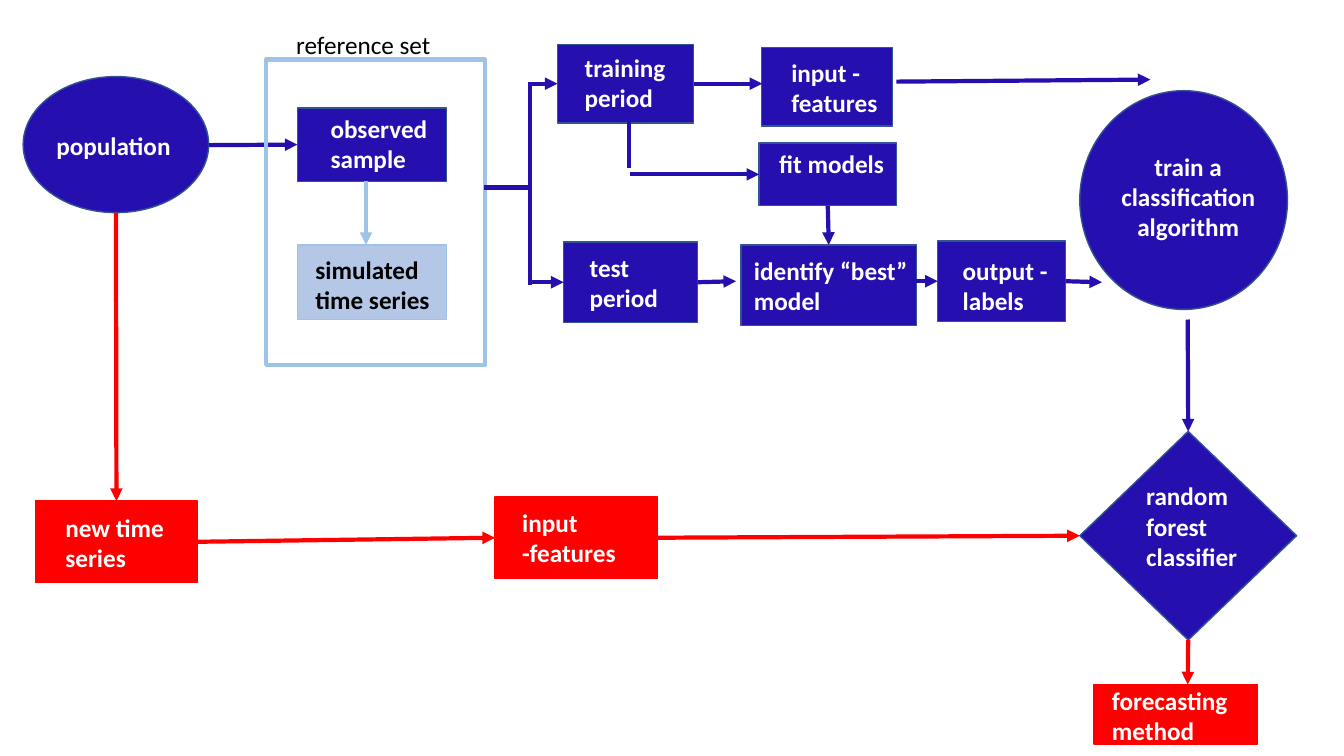
"""Draw the flow from a population of time series to a forecasting method."""
from lxml.etree import SubElement
from pptx import Presentation
from pptx.dml.color import RGBColor
from pptx.enum.dml import MSO_LINE
from pptx.enum.shapes import MSO_CONNECTOR, MSO_SHAPE as SHAPE
from pptx.enum.text import MSO_AUTO_SIZE, PP_ALIGN
from pptx.oxml.ns import qn
from pptx.util import Inches, Pt

WIDTH, HEIGHT = Inches(13.33), Inches(7.5)
COLUMNS, ROWS = 13.33, 7.5
BLUE, EDGE, RED = "260FAF", "325491", "FF0000"
SKY, PALE, WHITE, BLACK = "9DC3E6", "B4C7E7", "FFFFFF", "000000"
TOP, LEFT, BOTTOM, RIGHT = range(4)


def across(columns):
    """Return a horizontal length given in grid columns."""
    return round(columns * WIDTH / COLUMNS)


def down(rows):
    """Return a vertical length given in grid rows."""
    return round(rows * HEIGHT / ROWS)


def place(left, top, width, height):
    """Return a grid area as slide lengths."""
    return across(left), down(top), across(width), down(height)


def colour(hex_code):
    """Return the colour of a hex string."""
    return RGBColor.from_string(hex_code)


def add_text(slide, text, area, ink=WHITE, bold=True, align=PP_ALIGN.LEFT):
    """Write a wrapped label in a grid area."""
    frame = slide.shapes.add_textbox(*place(*area)).text_frame
    frame.word_wrap = True
    frame.auto_size = MSO_AUTO_SIZE.SHAPE_TO_FIT_TEXT
    paragraph = frame.paragraphs[0]
    paragraph.alignment = align
    run = paragraph.add_run()
    run.text = text
    run.font.name, run.font.size, run.font.bold = "Calibri", Pt(18), bold
    run.font.color.rgb = colour(ink)


def add_outline(slide, area, kind=SHAPE.RECTANGLE, fill=None, edge=EDGE, weight=1):
    """Draw a preset shape, left hollow when it has no fill."""
    outline = slide.shapes.add_shape(kind, *place(*area))
    outline.shadow.inherit = False
    if fill:
        outline.fill.solid()
        outline.fill.fore_color.rgb = colour(fill)
    else:
        outline.fill.background()
    outline.line.color.rgb = colour(edge)
    outline.line.width = Pt(weight)
    return outline


def add_step(slide, text, area, text_area, kind=SHAPE.RECTANGLE,
             fill=BLUE, edge=EDGE, **text_format):
    """Draw one step of the flow with its label and return its shape."""
    step = add_outline(slide, area, kind, fill, edge)
    add_text(slide, text, text_area, **text_format)
    return step


def add_link(slide, start=(0, 0), end=(0, 0), joined_from=None, joined_to=None,
             ink=BLUE, arrow=True):
    """Draw a line between grid points or joined sides of steps."""
    link = slide.shapes.add_connector(
        MSO_CONNECTOR.STRAIGHT, across(start[0]), down(start[1]),
        across(end[0]), down(end[1]))
    if joined_from:
        link.begin_connect(*joined_from)
    if joined_to:
        link.end_connect(*joined_to)
    link.line.color.rgb = colour(ink)
    link.line.width = Pt(3)
    link.line.dash_style = MSO_LINE.SOLID
    if arrow:
        SubElement(link.line._get_or_add_ln(), qn("a:tailEnd"), type="triangle")
    SubElement(link._element.spPr, qn("a:effectLst"))


def draw_reference_set(slide):
    """Draw the population and the set of series built from it."""
    add_step(slide, "population", (0.23, 0.76, 1.84, 1.35),
             (0.46, 1.24, 1.38, 0.4), kind=SHAPE.OVAL)
    observed = add_step(slide, "observed sample", (2.95, 1.07, 1.48, 0.73),
                        (3.18, 1.07, 1.18, 0.71))
    add_step(slide, "simulated time series", (2.95, 2.43, 1.48, 0.74),
             (3.03, 2.47, 1.48, 0.71), fill=PALE, edge=SKY, ink=BLACK)
    add_link(slide, start=(2.07, 1.44), joined_to=(observed, LEFT))
    add_link(slide, (3.63, 1.8), (3.63, 2.43), ink=SKY)
    add_outline(slide, (2.64, 0.59, 2.17, 3.03), edge=SKY, weight=3)
    add_text(slide, "reference set", (2.84, 0.24, 1.76, 0.4), ink=BLACK, bold=False)


def draw_training(slide):
    """Draw the offline part, from the two periods to the algorithm."""
    training = add_step(slide, "training period", (5.53, 0.44, 1.35, 0.78),
                        (5.7, 0.47, 1.07, 0.71))
    test = add_step(slide, "test period", (5.59, 2.4, 1.33, 0.8),
                    (5.75, 2.45, 1.07, 0.71))
    add_step(slide, "input - features", (7.55, 0.47, 1.3, 0.78),
             (7.75, 0.52, 1.1, 0.71))
    fit = add_step(slide, "fit models", (7.53, 1.42, 1.36, 0.62),
                   (7.63, 1.42, 1.5, 0.4))
    best = add_step(slide, "identify “best” model", (7.35, 2.43, 1.74, 0.8),
                    (7.38, 2.48, 1.84, 0.71))
    labels = add_step(slide, "output - labels", (9.3, 2.39, 1.27, 0.8),
                      (9.45, 2.48, 1.07, 0.71))
    add_step(slide, "train a classification algorithm", (10.71, 0.9, 2.06, 2.17),
             (10.95, 1.45, 1.67, 1.01), kind=SHAPE.OVAL, align=PP_ALIGN.CENTER)

    add_link(slide, (4.8, 1.86), (5.26, 1.86), arrow=False)
    add_link(slide, (5.26, 0.83), (5.26, 2.83), arrow=False)
    add_link(slide, start=(5.24, 0.83), joined_to=(training, LEFT))
    add_link(slide, start=(5.26, 2.8), joined_to=(test, LEFT))
    add_link(slide, end=(7.56, 0.83), joined_from=(training, RIGHT))
    add_link(slide, (8.89, 0.81), (11.41, 0.79))
    add_link(slide, (6.24, 1.17), (6.24, 1.67), arrow=False)
    add_link(slide, start=(6.25, 1.73), joined_to=(fit, LEFT))
    add_link(slide, joined_from=(fit, BOTTOM), joined_to=(best, TOP))
    add_link(slide, end=(7.3, 2.79), joined_from=(test, RIGHT))
    add_link(slide, start=(9.08, 2.79), joined_to=(labels, LEFT))
    add_link(slide, end=(10.93, 2.8), joined_from=(labels, RIGHT))


def draw_forecasting(slide):
    """Draw the online part, from a new series to its method."""
    red = {"fill": RED, "edge": RED}
    series = add_step(slide, "new time series", (0.35, 4.97, 1.61, 0.81),
                      (0.55, 5.03, 1.2, 0.71), **red)
    features = add_step(slide, "input -features", (4.91, 4.93, 1.61, 0.81),
                        (5.08, 4.98, 1.35, 0.71), **red)
    classifier = add_step(slide, "random forest classifier",
                          (10.71, 4.28, 2.15, 2.07), (11.27, 4.72, 1.3, 1.01),
                          kind=SHAPE.FLOWCHART_DECISION)
    add_step(slide, "forecasting method", (10.85, 6.79, 1.62, 0.59),
             (10.93, 6.75, 1.48, 0.71), **red)

    add_link(slide, start=(11.78, 3.17), joined_to=(classifier, TOP))
    add_link(slide, start=(1.15, 2.11), joined_to=(series, TOP), ink=RED)
    add_link(slide, joined_from=(series, RIGHT), joined_to=(features, LEFT), ink=RED)
    add_link(slide, joined_from=(features, RIGHT), joined_to=(classifier, LEFT), ink=RED)
    add_link(slide, end=(11.78, 6.79), joined_from=(classifier, BOTTOM), ink=RED)


def main():
    """Build and save the slide."""
    deck = Presentation()
    deck.slide_width, deck.slide_height = WIDTH, HEIGHT
    slide = deck.slides.add_slide(deck.slide_layouts[6])
    draw_reference_set(slide)
    draw_training(slide)
    draw_forecasting(slide)
    deck.save("out.pptx")


if __name__ == "__main__":
    main()
